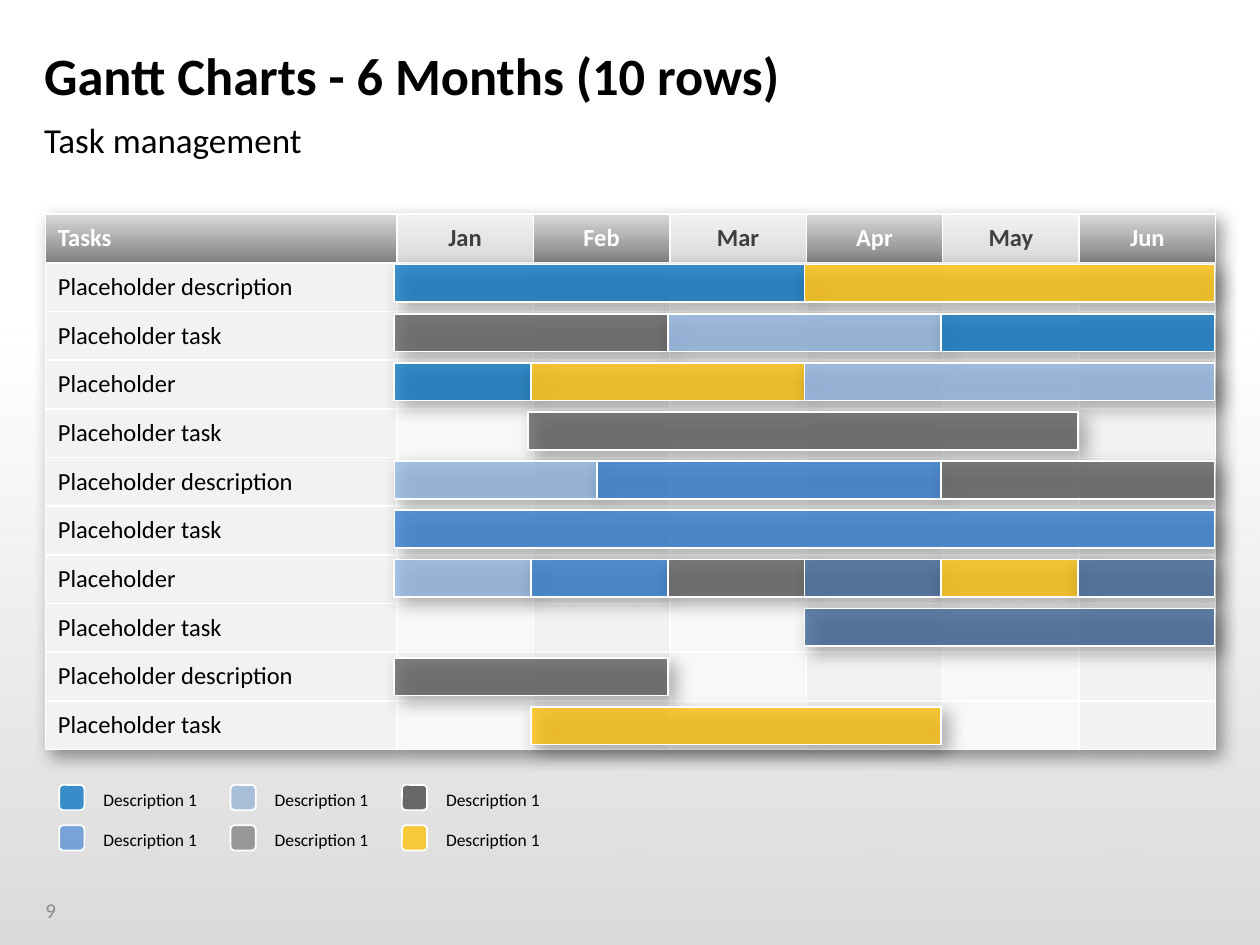
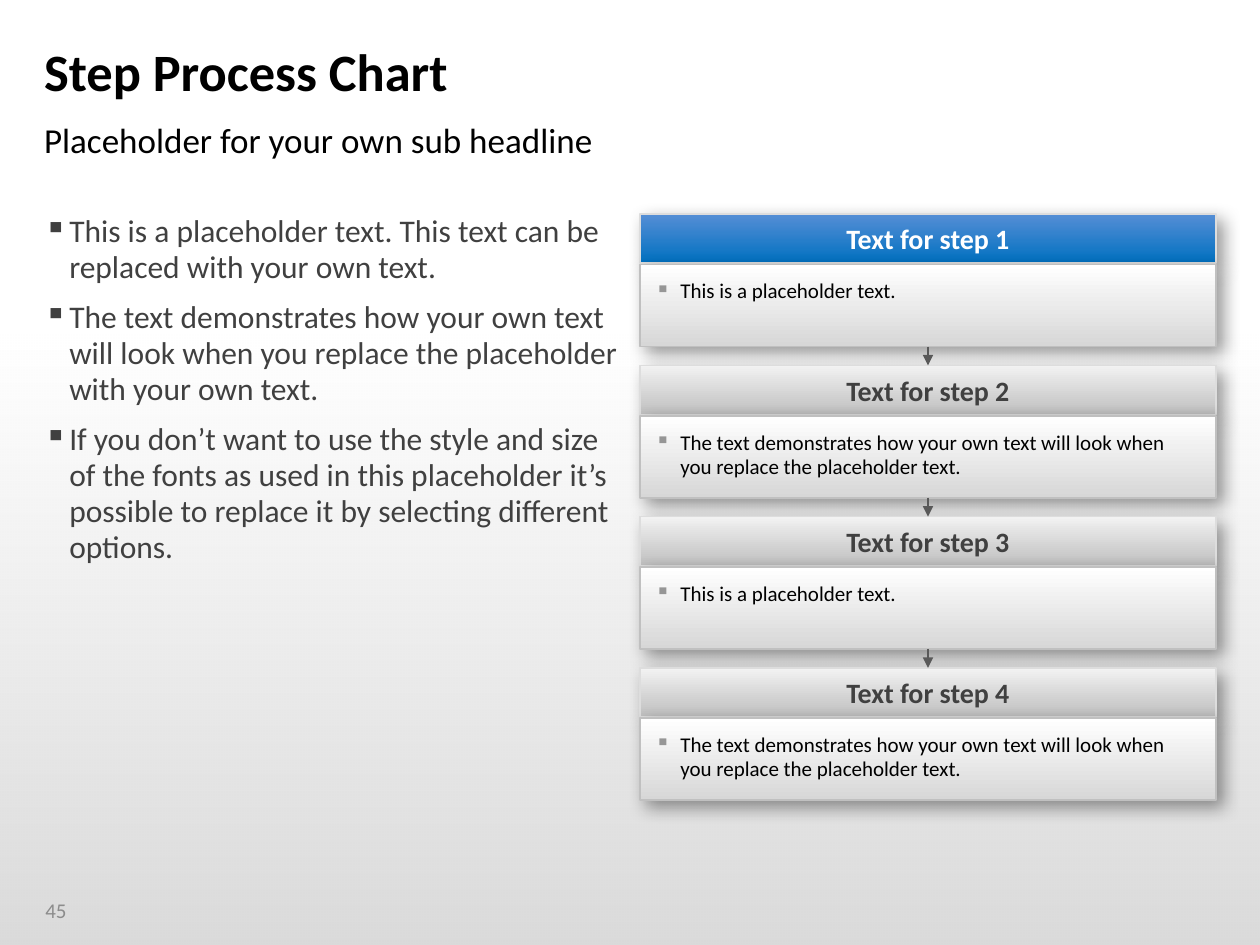
from lxml import etree
from pptx import Presentation
from pptx.dml.color import RGBColor
from pptx.enum.shapes import MSO_CONNECTOR as Connector, MSO_SHAPE as Shape
from pptx.enum.text import MSO_ANCHOR as Anchor, MSO_AUTO_SIZE as AutoSize, PP_ALIGN as Align
from pptx.oxml.ns import qn
from pptx.util import Inches, Pt

FONT = "Calibri"
COLORS = {
    "white": "FFFFFF", "black": "000000", "text": "404040", "number": "8C8C8C",
    "blue": "0070C0", "mid": "2A79D0", "light": "8EB4E3", "navy": "376092",
    "gray": "595959", "yellow": "FFC000", "sky": "558ED5", "steel": "95B3D7",
    "silver": "808080", "dark": "404040", "bullet": "969696",
    "cell": "F2F2F2", "cell_pale": "F8F8F8", "head_edge": "DDDDDD", "body_edge": "C0C0C0",
    "pale_gray": "D9D9D9", "step_gray": "BFBFBF", "step_body": "D7D7D7",
}
LEFT, CONTENT_TOP, CONTENT_WIDTH = 0.35, 1.7, 9.29


def rgb(name):
    return RGBColor.from_string(COLORS[name])


def child(parent, tag, **attributes):
    return etree.SubElement(parent, qn(tag), attributes)


def set_alpha(color_element, percent):
    child(color_element, "a:alpha", val=str(percent * 1000))


def add_shadow(effects):
    shadow = child(effects, "a:outerShdw", blurRad=str(Pt(10)), dist=str(Pt(5)),
                   dir=str(45 * 60000), algn="tl", rotWithShape="0")
    set_alpha(child(shadow, "a:srgbClr", val=COLORS["black"]), 40)


def paint(fill, color):
    """Fill with one colour, or with a (top, bottom) gradient."""
    if isinstance(color, str):
        fill.solid()
        fill.fore_color.rgb = rgb(color)
        return
    fill.gradient()
    fill.gradient_angle = 270
    for stop, name in zip(fill.gradient_stops, color):
        stop.color.rgb = rgb(name)


class Deck:
    def __init__(self):
        self.prs = Presentation()
        self.prs.slide_width, self.prs.slide_height = Inches(10), Inches(7.5)
        self.slide = None

    def start(self, title, subtitle, number, title_spacing=1.0):
        self.slide = self.prs.slides.add_slide(self.prs.slide_layouts[5])
        paint(self.slide.background.fill, "white")

        # Band that darkens towards the bottom edge
        band = self.shape((0, 2.59, 10, 4.91), ("black", "black"))
        tones = band._element.spPr.iter(qn("a:srgbClr"))
        for tone, percent in zip(tones, (0, 15)):
            set_alpha(tone, percent)

        # Title, subtitle and page number
        heading = self.slide.shapes.title
        heading.left, heading.top = Inches(LEFT), Inches(0.26)
        heading.width, heading.height = Inches(CONTENT_WIDTH), Inches(0.67)
        self.set_text(heading.text_frame, [title], 30, bold=True, anchor=Anchor.MIDDLE,
                      insets=(0, 0.05, 0.1, 0.05), spacing=title_spacing)
        self.text((LEFT, 0.94, CONTENT_WIDTH, 0.37), [subtitle], 20)
        self.text((0.36, 7.02, 0.54, 0.4), [number], 12, color="number", anchor=Anchor.MIDDLE)

    def set_text(self, frame, paragraphs, size, color="black", bold=False, align=Align.LEFT,
                 anchor=Anchor.TOP, insets=(0, 0, 0, 0), spacing=1.0, bullet=None, wrap=True):
        frame.word_wrap = wrap
        frame.auto_size = AutoSize.NONE
        frame.vertical_anchor = anchor
        (frame.margin_left, frame.margin_top,
         frame.margin_right, frame.margin_bottom) = map(Inches, insets)
        self.fill_paragraphs(frame, paragraphs, size, color, bold, align, spacing, bullet)

    def fill_paragraphs(self, frame, paragraphs, size, color, bold, align, spacing=1.0, bullet=None):
        for index, words in enumerate(paragraphs):
            paragraph = frame.add_paragraph() if index else frame.paragraphs[0]
            if bullet:
                properties = paragraph._p.get_or_add_pPr()
                properties.set("marL", str(Inches(0.2)))
                properties.set("indent", str(-Inches(0.2)))
                child(child(properties, "a:buClr"), "a:srgbClr", val=COLORS[bullet])
                child(properties, "a:buChar", char="▪")
                paragraph.space_after = Pt(8)
            paragraph.alignment = align
            paragraph.line_spacing = spacing
            run = paragraph.add_run()
            run.text = words
            run.font.name, run.font.size, run.font.bold = FONT, Pt(size), bold
            run.font.color.rgb = rgb(color)

    def text(self, box, paragraphs, size, **style):
        frame = self.slide.shapes.add_textbox(*map(Inches, box)).text_frame
        self.set_text(frame, paragraphs, size, **style)

    def shape(self, box, fill, edge=None, kind=Shape.RECTANGLE, alpha=None, shadow=False):
        shape = self.slide.shapes.add_shape(kind, *map(Inches, box))
        paint(shape.fill, fill)
        if edge:
            shape.line.color.rgb = rgb(edge)
            shape.line.width = Pt(1)
        else:
            shape.line.fill.background()
        properties = shape._element.spPr
        if alpha:
            set_alpha(properties.find(qn("a:solidFill"))[0], alpha)
        shape.shadow.inherit = False
        if shadow:
            add_shadow(properties.find(qn("a:effectLst")))
        return shape

    def arrow(self, x, top, bottom):
        arrow = self.slide.shapes.add_connector(
            Connector.STRAIGHT, Inches(x), Inches(top), Inches(x), Inches(bottom))
        arrow.line.color.rgb = rgb("gray")
        arrow.line.width = Pt(1.5)
        properties = arrow._element.spPr
        child(properties.find(qn("a:ln")), "a:tailEnd", type="triangle")
        child(properties, "a:effectLst")

    def table(self, box, rows, first_width):
        width, height = box[2:]
        row_count, column_count = len(rows), len(rows[0])
        grid = self.slide.shapes.add_table(row_count, column_count, *map(Inches, box)).table
        grid.first_row = grid.horz_banding = False
        effects = etree.Element(qn("a:effectLst"))
        add_shadow(effects)
        grid._tbl.tblPr.insert(0, effects)
        for index, column in enumerate(grid.columns):
            column.width = Inches((width - first_width) / (column_count - 1) if index else first_width)
        for row_index, words in enumerate(rows):
            grid.rows[row_index].height = Inches(height / row_count)
            for column_index, label in enumerate(words):
                self.cell(grid.cell(row_index, column_index), label, row_index == 0, column_index)

    def cell(self, cell, label, is_header, column):
        is_pale = column % 2 == 1
        side, end = (0.1, 0.02) if column == 0 else (0, 0)
        cell.margin_left, cell.margin_right = Inches(side), Inches(end)
        cell.margin_top = cell.margin_bottom = Inches(0.02)
        cell.vertical_anchor = Anchor.MIDDLE
        for edge in ("a:lnL", "a:lnR", "a:lnT", "a:lnB"):
            border = child(cell._tc.get_or_add_tcPr(), edge, w=str(Pt(1)))
            child(child(border, "a:solidFill"), "a:srgbClr", val=COLORS["white"])
        if is_header:
            paint(cell.fill, ("cell", "pale_gray") if is_pale else ("pale_gray", "silver"))
            color = "text" if is_pale else "white"
        else:
            paint(cell.fill, "cell_pale" if is_pale else "cell")
            color = "black"
        if label:
            self.fill_paragraphs(cell.text_frame, [label], 14, color, is_header,
                                 Align.CENTER if column else Align.LEFT)


def build_gantt(deck):
    deck.start("Gantt Charts - 6 Months (10 rows)", "Task management", "9")

    # Task grid
    months = ["Jan", "Feb", "Mar", "Apr", "May", "Jun"]
    tasks = ["Placeholder description", "Placeholder task", "Placeholder", "Placeholder task"] * 2
    tasks += tasks[:2]
    rows = [["Tasks"] + months] + [[task] + [""] * len(months) for task in tasks]
    deck.table((0.36, CONTENT_TOP, CONTENT_WIDTH, 4.25), rows, first_width=2.79)

    # Bars per task: start month, end month, colour
    schedule = [
        [(0, 3, "blue"), (3, 6, "yellow")],
        [(0, 2, "gray"), (2, 4, "light"), (4, 6, "blue")],
        [(0, 1, "blue"), (1, 3, "yellow"), (3, 6, "light")],
        [(0.98, 5, "gray")],
        [(0, 1.48, "light"), (1.48, 4, "mid"), (4, 6, "gray")],
        [(0, 6, "mid")],
        [(month, month + 1, color) for month, color in
         enumerate(["light", "mid", "gray", "navy", "yellow", "navy"])],
        [(3, 6, "navy")],
        [(0, 2, "gray")],
        [(1, 4, "yellow")],
    ]
    month_width = 6.51 / len(months)
    for row, bars in enumerate(schedule):
        for start, end, color in bars:
            deck.shape((3.13 + start * month_width, 2.1 + row * 0.39,
                        (end - start) * month_width, 0.3),
                       color, "white", alpha=75, shadow=True)

    # Legend
    legend = [["blue", "steel", "dark"], ["sky", "silver", "yellow"]]
    for row, colors in enumerate(legend):
        for column, color in enumerate(colors):
            x, y = 0.47 + column * 1.36, 6.23 + row * 0.32
            deck.shape((x, y, 0.2, 0.2), color, "white", Shape.ROUNDED_RECTANGLE, alpha=75)
            deck.text((x + 0.35, y + 0.03, 0.79, 0.17), ["Description 1"], 10, wrap=False)


def build_steps(deck):
    deck.start("Step Process Chart", "Placeholder for your own sub headline", "45", title_spacing=0.9)

    # Explanation on the left
    deck.text((LEFT, CONTENT_TOP, 4.57, 4.65), [
        "This is a placeholder text. This text can be replaced with your own text.",
        "The text demonstrates how your own text will look when you replace the "
        "placeholder with your own text.",
        "If you don’t want to use the style and size of the fonts as used in this "
        "placeholder it’s possible to replace it by selecting different options.",
    ], 18, color="text", spacing=0.95, bullet="text")

    # Steps on the right
    x, width, pitch = 5.08, 4.57, 1.2
    details = ["This is a placeholder text.",
               "The text demonstrates how your own text will look when you replace "
               "the placeholder text."] * 2
    for index, detail in enumerate(details):
        top = CONTENT_TOP + index * pitch
        fill, color = (("cell", "step_gray"), "text") if index else (("sky", "blue"), "white")
        header = deck.shape((x, top, width, 0.39), fill, "head_edge", shadow=True)
        deck.set_text(header.text_frame, [f"Text for step {index + 1}"], 16, color=color,
                      bold=True, align=Align.CENTER, anchor=Anchor.MIDDLE)
        body = deck.shape((x, top + 0.4, width, 0.65), ("white", "step_body"),
                          "body_edge", shadow=True)
        deck.set_text(body.text_frame, [detail], 12, insets=(0.12, 0.12, 0.16, 0.08),
                      spacing=0.95, bullet="bullet")

    # Arrows between the steps
    for index in range(1, len(details)):
        next_top = CONTENT_TOP + index * pitch
        deck.arrow(x + width / 2, next_top - 0.15, next_top)


def main():
    deck = Deck()
    build_gantt(deck)
    build_steps(deck)
    deck.prs.save("out.pptx")


if __name__ == "__main__":
    main()
